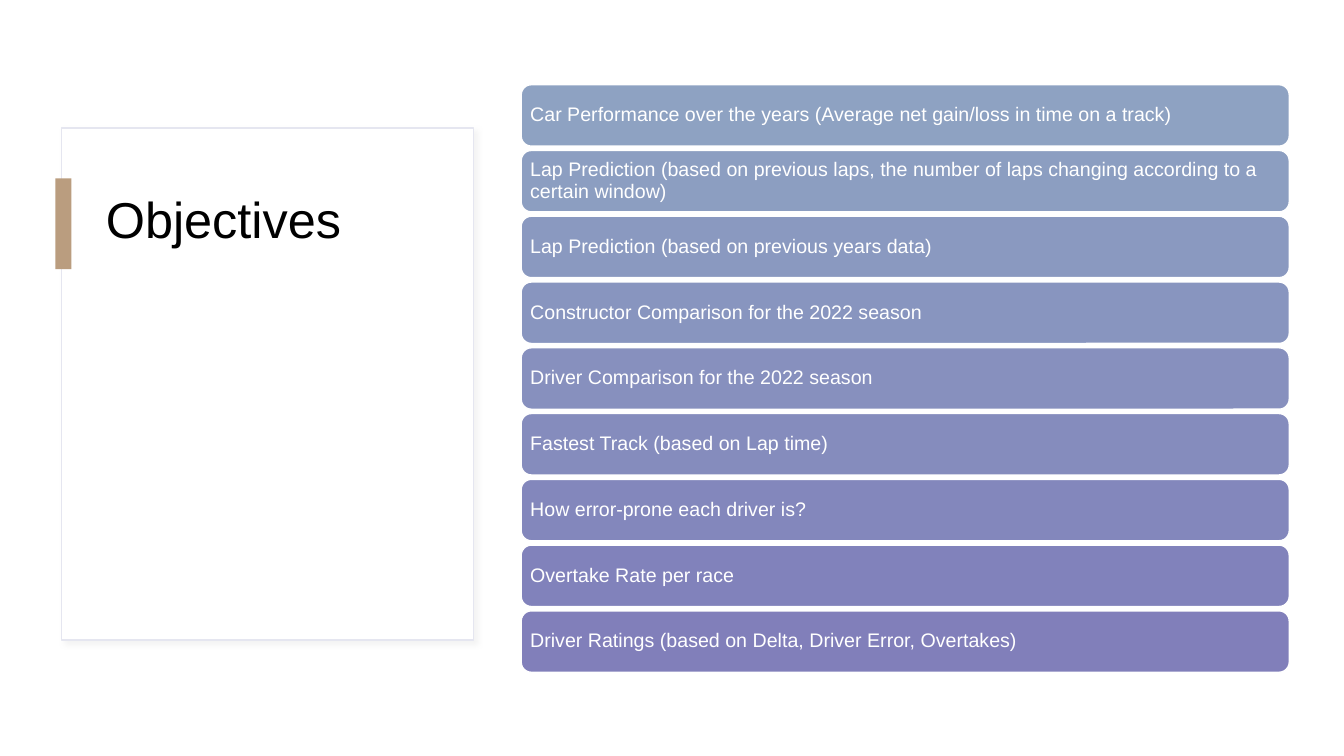
from lxml.etree import SubElement
from pptx import Presentation
from pptx.dml.color import RGBColor
from pptx.enum.shapes import MSO_SHAPE
from pptx.enum.text import MSO_ANCHOR, PP_ALIGN
from pptx.oxml.ns import qn
from pptx.util import Inches, Pt

OBJECTIVES = [
    ("Car Performance over the years (Average net gain/loss in time on a track)", "8EA2C2"),
    ("Lap Prediction (based on previous laps, the number of laps changing "
     "according to a certain window)", "8C9EC1"),
    ("Lap Prediction (based on previous years data)", "8A99C0"),
    ("Constructor Comparison for the 2022 season", "8895BF"),
    ("Driver Comparison for the 2022 season", "8790BE"),
    ("Fastest Track (based on Lap time)", "858CBD"),
    ("How error-prone each driver is?", "8387BC"),
    ("Overtake Rate per race", "8182BB"),
    ("Driver Ratings (based on Delta, Driver Error, Overtakes)", "817FBA"),
]
BARS_LEFT, BARS_TOP, BAR_WIDTH, BAR_HEIGHT = 5.17, 0.84, 7.62, 0.61
BAR_PITCH = 0.6525


def rgb(color):
    return RGBColor.from_string(color)


def add_block(kind, left, top, width, height, fill, outline=None):
    block = slide.shapes.add_shape(
        kind, Inches(left), Inches(top), Inches(width), Inches(height))
    block.shadow.inherit = False
    block.fill.solid()
    block.fill.fore_color.rgb = rgb(fill)
    if outline:
        block.line.color.rgb = rgb(outline)
        block.line.width = Pt(1)
    else:
        block.line.fill.background()
    return block


prs = Presentation()
prs.slide_width, prs.slide_height = Inches(13.333), Inches(7.5)
slide = prs.slides.add_slide(prs.slide_layouts[5])
slide.background.fill.solid()
slide.background.fill.fore_color.rgb = rgb("FFFFFF")

# Title card with a soft shadow
card = add_block(MSO_SHAPE.RECTANGLE, 0.61, 1.27, 4.09, 5.08, "FFFFFF", "E5E6F0")
effects = card.element.spPr.find(qn("a:effectLst"))
shadow = SubElement(effects, qn("a:outerShdw"), blurRad=str(Pt(4)), dist=str(Pt(3)),
                    dir=str(45 * 60000), algn="tl", rotWithShape="0")
shadow_color = SubElement(shadow, qn("a:srgbClr"), val="D9D9D9")
SubElement(shadow_color, qn("a:alpha"), val="30000")

# Title, brought in front of the card
title = slide.shapes.title
card.element.addnext(title.element)
title.left, title.top = Inches(0.95), Inches(1.88)
title.width, title.height = Inches(3.39), Inches(3.85)
title.text_frame.text = "Objectives"
title.text_frame.vertical_anchor = MSO_ANCHOR.TOP
heading = title.text_frame.paragraphs[0]
heading.alignment = PP_ALIGN.LEFT
heading.line_spacing = 0.9
heading.font.name, heading.font.size = "Arial", Pt(36)
heading.font.color.rgb = rgb("000000")

# Accent tab on the card's edge
add_block(MSO_SHAPE.RECTANGLE, 0.55, 1.77, 0.16, 0.9, "BA9D7F")

# Stack of objectives
for row, (objective, shade) in enumerate(OBJECTIVES):
    bar = add_block(MSO_SHAPE.ROUNDED_RECTANGLE, BARS_LEFT, BARS_TOP + row * BAR_PITCH,
                    BAR_WIDTH, BAR_HEIGHT, shade, "FFFFFF")
    frame = bar.text_frame
    frame.word_wrap = True
    frame.vertical_anchor = MSO_ANCHOR.MIDDLE
    # The rounded corners add a little to these insets
    frame.margin_left = frame.margin_right = Inches(0.06)
    frame.margin_top = frame.margin_bottom = Inches(0.06)
    frame.text = objective
    label = frame.paragraphs[0]
    label.alignment = PP_ALIGN.LEFT
    label.line_spacing = 0.9
    label.font.name, label.font.size = "Arial", Pt(14)
    label.font.color.rgb = rgb("FFFFFF")

prs.save("out.pptx")
